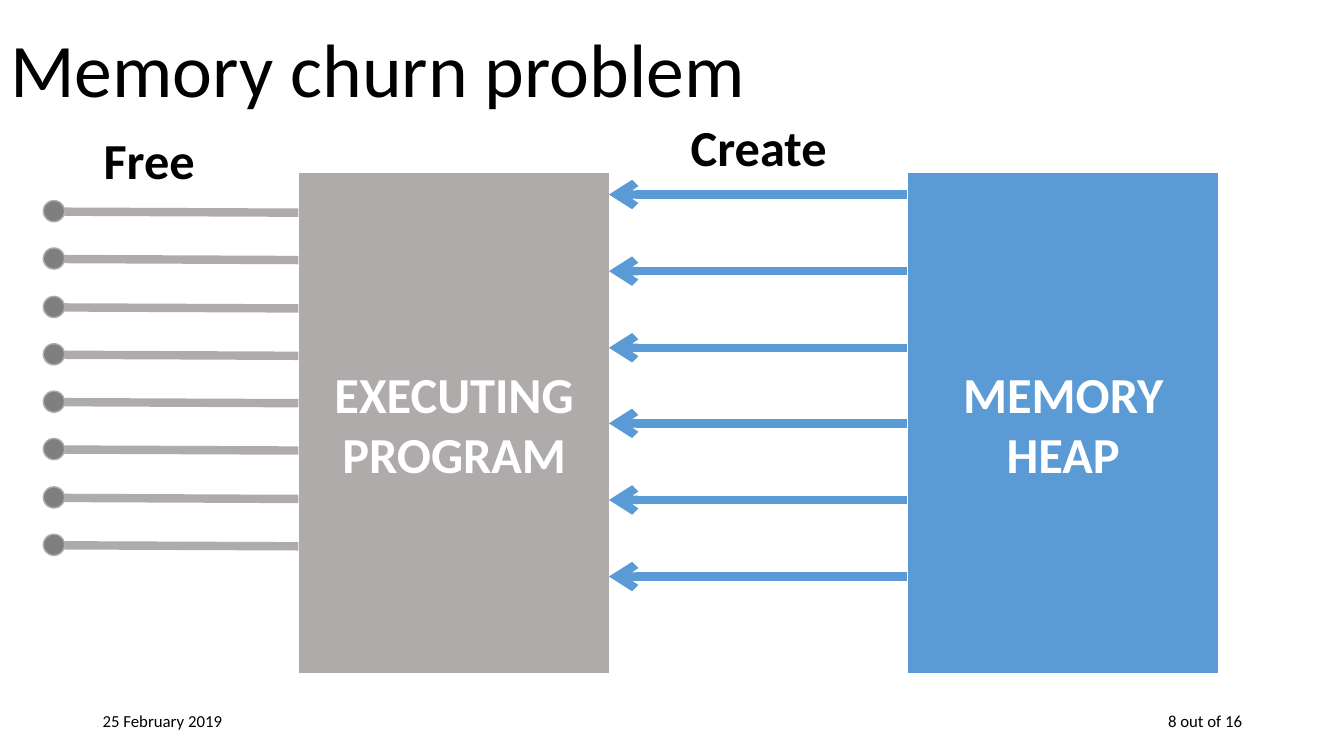
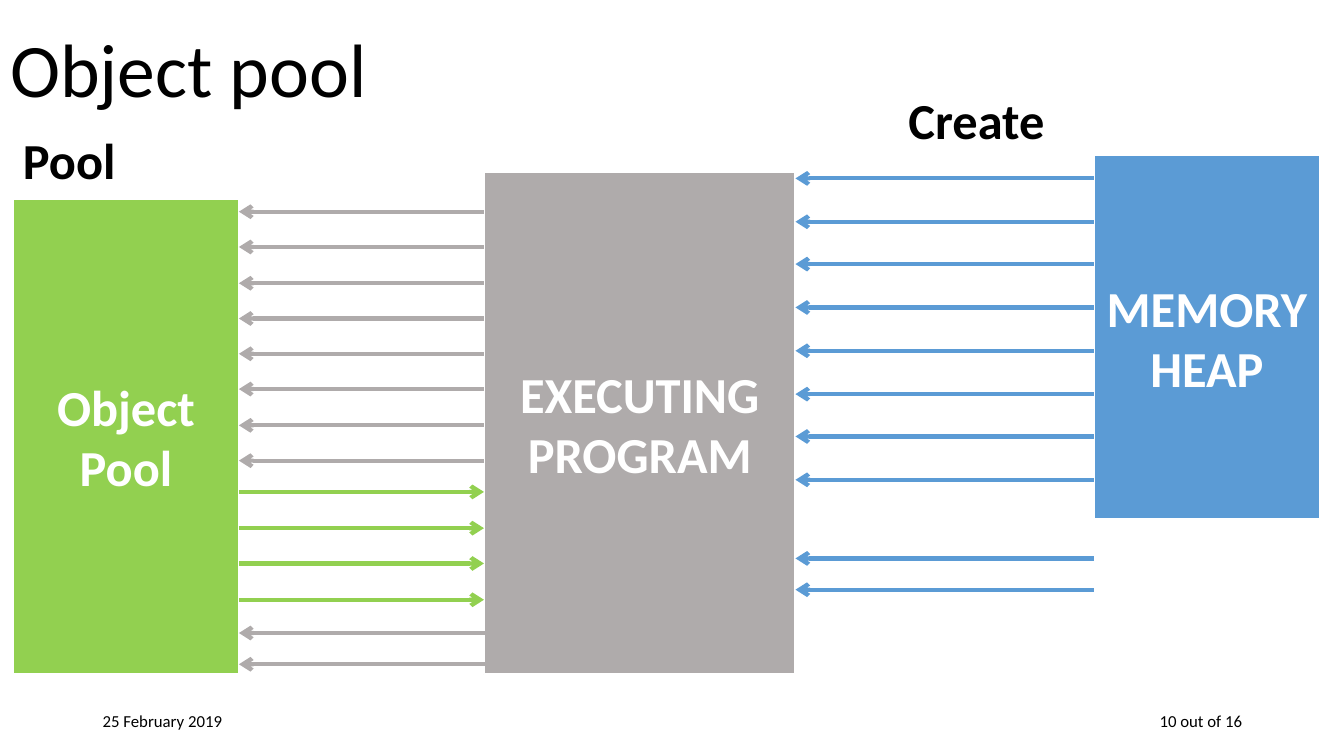
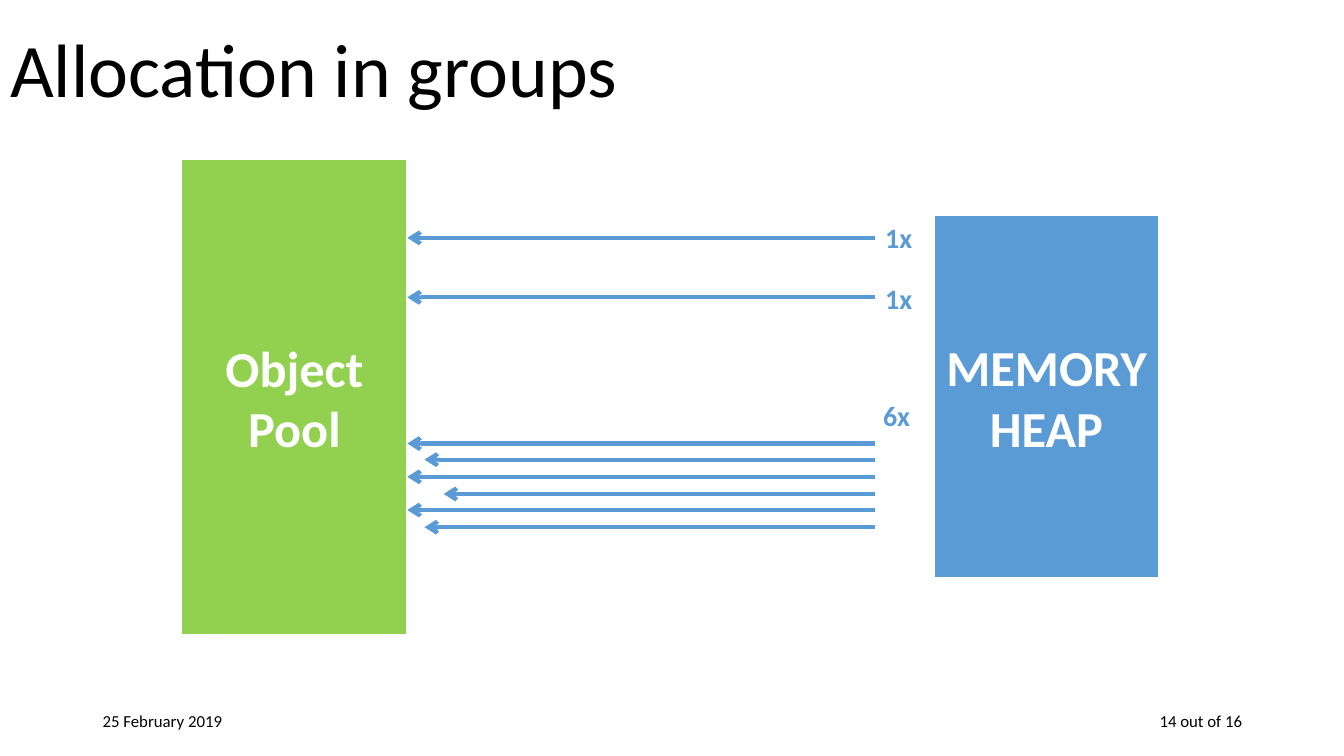
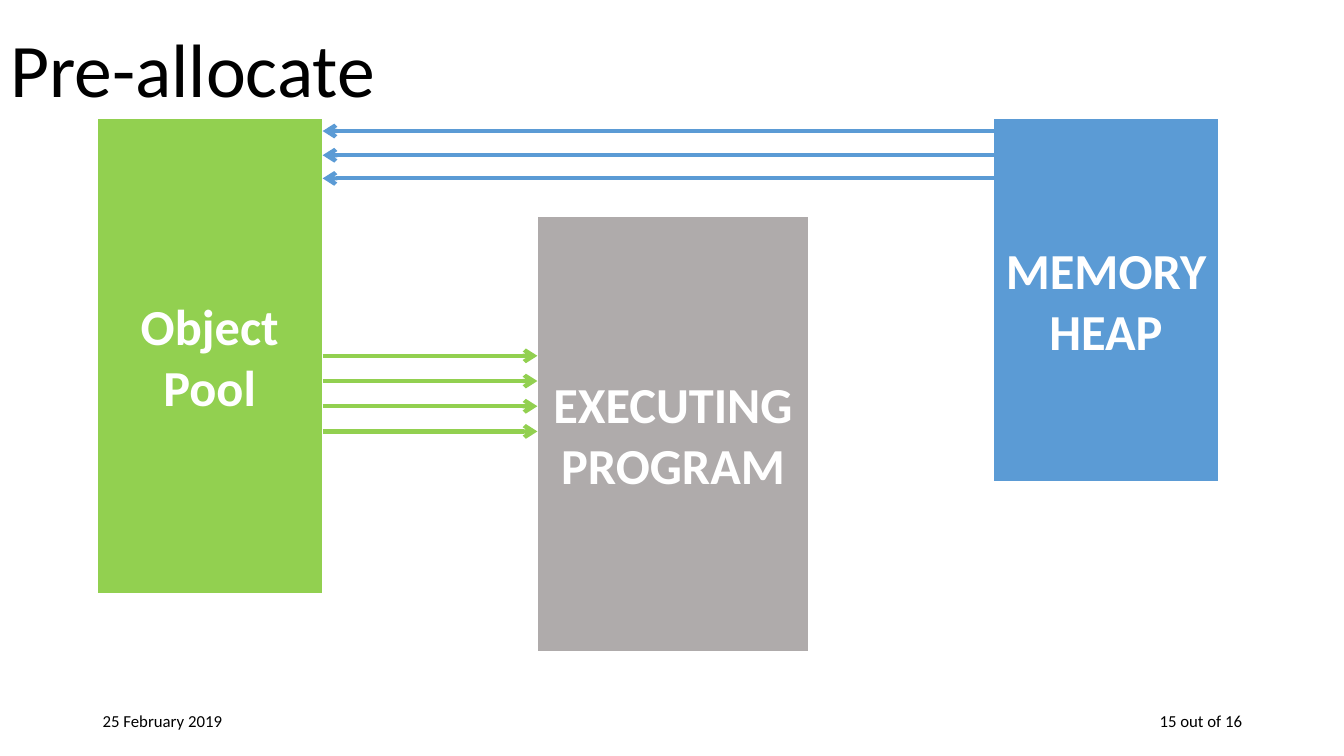
"""Build four slides on memory churn, object pools and pre-allocation."""
from dataclasses import dataclass
from typing import Any

from lxml import etree
from pptx import Presentation
from pptx.dml.color import RGBColor
from pptx.enum.shapes import MSO_CONNECTOR, MSO_SHAPE
from pptx.enum.text import MSO_ANCHOR, MSO_AUTO_SIZE, PP_ALIGN
from pptx.oxml.ns import qn
from pptx.util import Emu, Pt

EMU_PER_PX = 9144
TITLE_ONLY = 5
RECTANGLE, OVAL = MSO_SHAPE.RECTANGLE, MSO_SHAPE.OVAL
STRAIGHT = MSO_CONNECTOR.STRAIGHT
LEFT, CENTER, RIGHT = PP_ALIGN.LEFT, PP_ALIGN.CENTER, PP_ALIGN.RIGHT
TOP, MIDDLE = MSO_ANCHOR.TOP, MSO_ANCHOR.MIDDLE
FIXED, GROW = MSO_AUTO_SIZE.NONE, MSO_AUTO_SIZE.SHAPE_TO_FIT_TEXT


@dataclass(frozen=True)
class Theme:
    """Colours, font and type sizes of the deck."""

    font: str = "Calibri"
    black: str = "000000"
    white: str = "FFFFFF"
    heap: str = "5B9BD5"
    program: str = "AFABAB"
    pool: str = "92D050"
    freed: str = "7F7F7F"
    title_size: int = 54
    block_size: int = 36
    count_size: int = 20
    footer_size: int = 12


THEME = Theme()


@dataclass(frozen=True)
class Area:
    """A rectangle on the slide in px."""

    left: int
    top: int
    width: int
    height: int

    def emu(self) -> tuple[Emu, Emu, Emu, Emu]:
        """Return the rectangle in EMU."""
        return px(self.left), px(self.top), px(self.width), px(self.height)


@dataclass(frozen=True)
class Block:
    """A filled part of the memory model."""

    area: Area
    text: str
    color: str


@dataclass(frozen=True)
class Label:
    """A bold caption without a box."""

    area: Area
    text: str
    align: PP_ALIGN = CENTER
    size: int = THEME.block_size
    color: str = THEME.black


@dataclass(frozen=True)
class Flow:
    """Parallel arrows, evenly spread from the first to the last height."""

    start: int
    end: int
    first: int
    last: int
    count: int
    color: str
    weight: int = 3


@dataclass(frozen=True)
class Page:
    """The content of one slide."""

    title: str
    number: int
    blocks: list[Block]
    flows: list[Flow]
    labels: tuple[Label, ...] = ()
    freed_tops: tuple[int, ...] = ()


def px(length: int) -> Emu:
    """Turn px into EMU."""
    return Emu(length * EMU_PER_PX)


def spread(first: int, last: int, count: int) -> tuple[int, ...]:
    """Return evenly spaced whole positions."""
    steps = max(count - 1, 1)
    return tuple(round(first + i * (last - first) / steps) for i in range(count))


def apply_format(target: Any, values: dict[str, Any]) -> None:
    """Set each format value on the target."""
    for name, value in values.items():
        setattr(target, name, value)


def write(frame: Any, text: str, size: int, color: str, *, bold: bool = False,
          align: PP_ALIGN = LEFT, anchor: MSO_ANCHOR = MIDDLE,
          fit: MSO_AUTO_SIZE = FIXED, spacing: float = 1.0) -> None:
    """Fill a text frame with one formatted paragraph."""
    apply_format(frame, {"text": text, "word_wrap": True, "auto_size": fit,
                         "vertical_anchor": anchor})
    paragraph = frame.paragraphs[0]
    apply_format(paragraph, {"alignment": align, "line_spacing": spacing})
    font = paragraph.runs[0].font
    apply_format(font, {"name": THEME.font, "size": Pt(size), "bold": bold})
    font.color.rgb = RGBColor.from_string(color)


def add_filled(shapes: Any, kind: MSO_SHAPE, area: Area, fill: str,
               outline: str, weight: float) -> Any:
    """Add a flat outlined shape."""
    shape = shapes.add_shape(kind, *area.emu())
    shape.shadow.inherit = False
    shape.fill.solid()
    shape.fill.fore_color.rgb = RGBColor.from_string(fill)
    shape.line.color.rgb = RGBColor.from_string(outline)
    shape.line.width = Pt(weight)
    return shape


def add_line(shapes: Any, start: tuple[int, int], end: tuple[int, int],
             color: str, weight: int, arrow: bool = True) -> None:
    """Add a straight line, with an open arrowhead at its end if wanted."""
    line = shapes.add_connector(STRAIGHT, *map(px, start + end))
    line.line.color.rgb = RGBColor.from_string(color)
    line.line.width = Pt(weight)
    properties = line.element.spPr
    if arrow:
        etree.SubElement(properties.get_or_add_ln(), qn("a:tailEnd"), type="arrow")
    etree.SubElement(properties, qn("a:effectLst"))


def add_block(shapes: Any, block: Block) -> None:
    """Add a block with its bold white name."""
    shape = add_filled(shapes, RECTANGLE, block.area, block.color, THEME.white, 1.5)
    write(shape.text_frame, block.text, THEME.block_size, THEME.white,
          bold=True, align=CENTER)


def add_label(shapes: Any, label: Label) -> None:
    """Add a bold caption."""
    frame = shapes.add_textbox(*label.area.emu()).text_frame
    write(frame, label.text, label.size, label.color, bold=True,
          align=label.align, anchor=TOP, fit=GROW)


def add_flow(shapes: Any, flow: Flow) -> None:
    """Add the arrows of a flow."""
    for y in spread(flow.first, flow.last, flow.count):
        add_line(shapes, (flow.start, y), (flow.end, y), flow.color, flow.weight)


def add_freed(shapes: Any, top: int) -> None:
    """Add a freed object as a line that ends in a dot."""
    members = shapes.add_group_shape().shapes
    add_line(members, (296, top + 12), (64, top + 11), THEME.program, 6, arrow=False)
    add_filled(members, OVAL, Area(43, top, 21, 21), THEME.freed, THEME.program, 1)


def add_footer(shapes: Any, left: int, text: str, align: PP_ALIGN) -> None:
    """Add one footer text."""
    frame = shapes.add_textbox(*Area(left, 695, 300, 40).emu()).text_frame
    write(frame, text, THEME.footer_size, THEME.black, align=align)


def add_page(deck: Any, page: Page) -> None:
    """Add one slide."""
    shapes = deck.slides.add_slide(deck.slide_layouts[TITLE_ONLY]).shapes
    title = shapes.title
    left, top, width, height = Area(0, 0, 1150, 145).emu()
    apply_format(title, {"left": left, "top": top, "width": width, "height": height})
    write(title.text_frame, page.title, THEME.title_size, THEME.black, spacing=0.9)
    add_footer(shapes, 92, "25 February 2019", LEFT)
    add_footer(shapes, 942, f"{page.number} out of 16", RIGHT)
    for block in page.blocks:
        add_block(shapes, block)
    for label in page.labels:
        add_label(shapes, label)
    for flow in page.flows:
        add_flow(shapes, flow)
    for freed_top in page.freed_tops:
        add_freed(shapes, freed_top)


def heap(left: int, top: int, width: int = 224, height: int = 361) -> Block:
    """Return the memory heap block."""
    return Block(Area(left, top, width, height), "MEMORY HEAP", THEME.heap)


def program(left: int, top: int, width: int = 309, height: int = 498) -> Block:
    """Return the executing program block."""
    return Block(Area(left, top, width, height), "EXECUTING PROGRAM", THEME.program)


def pool(left: int, top: int) -> Block:
    """Return the object pool block."""
    return Block(Area(left, top, 224, 472), "Object Pool", THEME.pool)


def count_label(left: int, top: int, text: str) -> Label:
    """Return the caption that counts allocations."""
    return Label(Area(left, top, 49, 44), text, LEFT, THEME.count_size, THEME.heap)


PAGES = [
    Page(
        "Memory churn problem", 8,
        [heap(900, 171, 309, 498), program(296, 171)],
        [Flow(900, 604, 193, 572, 6, THEME.heap, 6)],
        (Label(Area(647, 110, 211, 71), "Create"),
         Label(Area(0, 123, 296, 71), "Free")),
        spread(199, 530, 8),
    ),
    Page(
        "Object pool", 10,
        [heap(1085, 154), program(480, 171), pool(13, 197)],
        [Flow(1085, 789, 177, 476, 8, THEME.heap),
         Flow(1085, 789, 554, 585, 2, THEME.heap),
         Flow(480, 237, 210, 457, 8, THEME.program),
         Flow(237, 480, 488, 595, 4, THEME.pool),
         Flow(481, 237, 628, 659, 2, THEME.program)],
        (Label(Area(863, 83, 211, 71), "Create"),
         Label(Area(13, 123, 283, 71), "Pool", LEFT)),
    ),
    Page(
        "Allocation in groups", 14,
        [heap(926, 213), pool(180, 158)],
        [Flow(868, 404, 236, 295, 2, THEME.heap),
         Flow(868, 404, 440, 506, 3, THEME.heap),
         Flow(868, 421, 456, 523, 2, THEME.heap),
         Flow(868, 440, 490, 490, 1, THEME.heap)],
        (count_label(868, 214, "1x"),
         count_label(868, 274, "1x"),
         count_label(866, 390, "6x")),
    ),
    Page(
        "Pre-allocate", 15,
        [heap(985, 117), pool(96, 117), program(533, 214, 269, 433)],
        [Flow(990, 320, 130, 177, 3, THEME.heap),
         Flow(320, 533, 353, 428, 4, THEME.pool)],
    ),
]


def main() -> None:
    """Build and save the deck."""
    deck = Presentation()
    apply_format(deck, {"slide_width": px(1333), "slide_height": px(750)})
    for page in PAGES:
        add_page(deck, page)
    deck.save("out.pptx")


if __name__ == "__main__":
    main()
